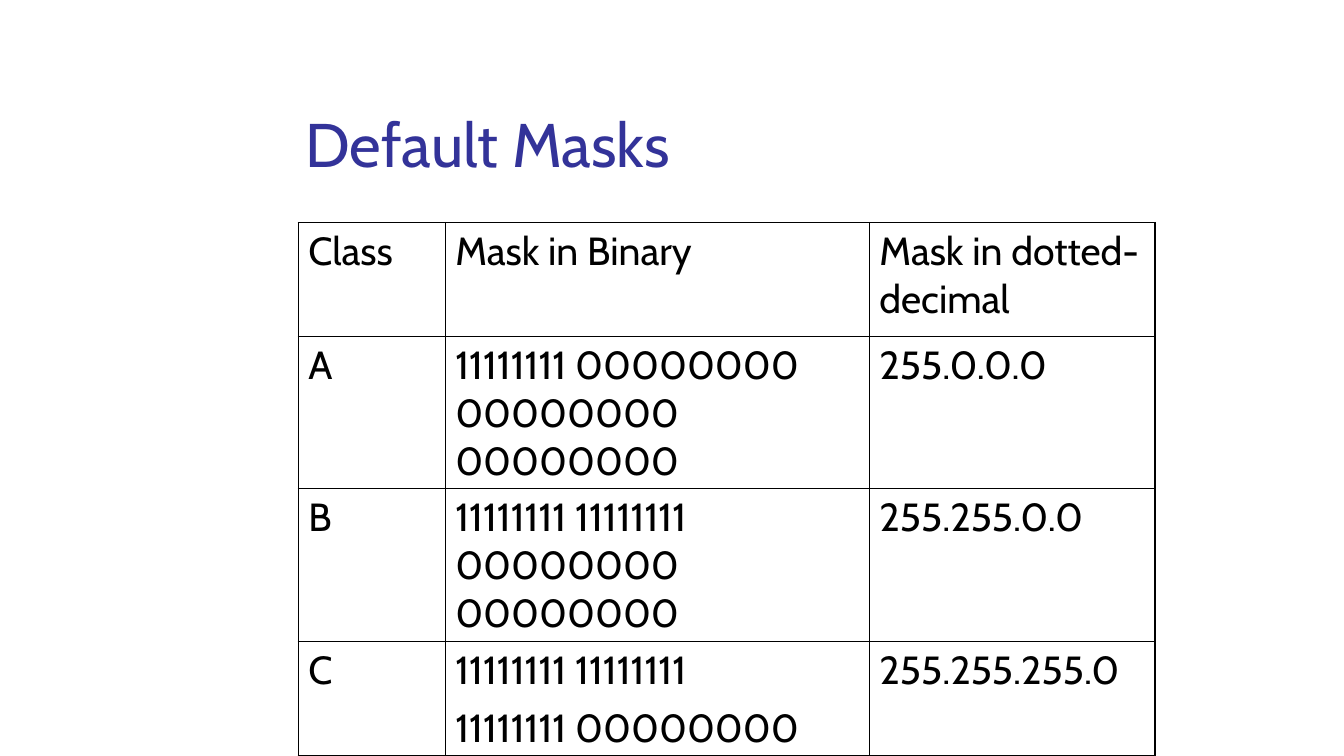
from lxml.etree import SubElement
from pptx import Presentation
from pptx.dml.color import RGBColor
from pptx.enum.text import MSO_ANCHOR
from pptx.oxml.ns import qn
from pptx.util import Pt

FONT = "Cabin"
BLUE = RGBColor(0x33, 0x33, 0x99)
BLACK = RGBColor(0x00, 0x00, 0x00)
OUTER, INNER = Pt(1.08), Pt(0.45)


def write_text(text_frame, text, size, color, spacing=None, before=None):
    """Write one paragraph per line of text."""
    text_frame.word_wrap = True
    for index, line in enumerate(text.split("\n")):
        paragraph = text_frame.add_paragraph() if index else text_frame.paragraphs[0]
        paragraph.line_spacing = spacing
        paragraph.space_before = before
        run = paragraph.add_run()
        run.text = line
        run.font.name = FONT
        run.font.size = size
        run.font.color.rgb = color


def add_border(cell, side, width):
    line = SubElement(cell._tc.get_or_add_tcPr(), qn(f"a:ln{side}"), w=str(width))
    fill = SubElement(line, qn("a:solidFill"))
    SubElement(fill, qn("a:srgbClr"), val=str(BLACK))


presentation = Presentation()
presentation.slide_width = Pt(960)
presentation.slide_height = Pt(540)
slide = presentation.slides.add_slide(presentation.slide_layouts[6])

# Title
title = slide.shapes.add_textbox(Pt(211), Pt(16.5), Pt(613.5), Pt(115.2))
title.text_frame.vertical_anchor = MSO_ANCHOR.BOTTOM
write_text(title.text_frame, "Default Masks", size=Pt(44), color=BLUE)

# Table of masks
masks = [
    ("Class", "Mask in Binary", "Mask in dotted-decimal"),
    ("A", "11111111 00000000 00000000 00000000", "255.0.0.0"),
    ("B", "11111111 11111111 00000000 00000000", "255.255.0.0"),
    ("C", "11111111 11111111\n11111111 00000000", "255.255.255.0"),
]
column_widths = [105, 303, 204]
last_row, last_column = len(masks) - 1, len(column_widths) - 1
table = slide.shapes.add_table(
    len(masks), len(column_widths), Pt(213), Pt(159), Pt(sum(column_widths)), Pt(324)
).table
table.first_row = False
table.horz_banding = False
for column, width in zip(table.columns, column_widths):
    column.width = Pt(width)

for row_index, row in enumerate(masks):
    for column_index, text in enumerate(row):
        cell = table.cell(row_index, column_index)
        write_text(cell.text_frame, text, size=Pt(28), color=BLACK,
                   spacing=1.01, before=Pt(7))
        # Thicker lines on the outside of the table
        edges = {
            "L": column_index == 0,
            "R": column_index == last_column,
            "T": row_index == 0,
            "B": row_index == last_row,
        }
        for side, is_outer in edges.items():
            add_border(cell, side, OUTER if is_outer else INNER)
        cell.fill.background()

presentation.save("out.pptx")
